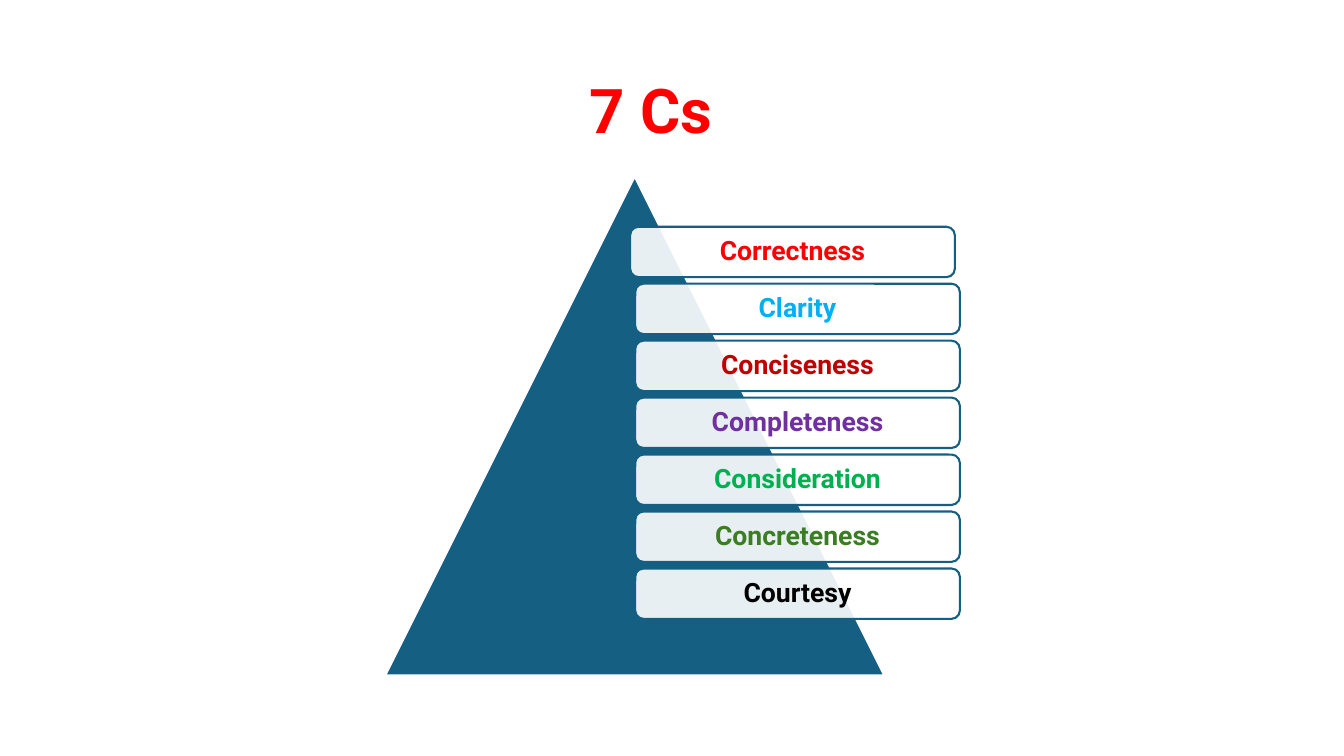
from dataclasses import dataclass

from lxml import etree
from pptx import Presentation, util as u
from pptx.dml.color import RGBColor
from pptx.enum import shapes, text
from pptx.oxml.ns import qn

TITLE = "7 Cs"
PRINCIPLES = [
    ("Correctness", "FF0000"),
    ("Clarity", "00B0F0"),
    ("Conciseness", "C00000"),
    ("Completeness", "7030A0"),
    ("Consideration", "00B050"),
    ("Concreteness", "3B7D23"),
    ("Courtesy", "000000"),
]


@dataclass(frozen=True)
class Theme:
    font: str = "Roboto"
    title_size: int = 44
    label_size: int = 19
    line_width: float = 1.5
    title: str = "FF0000"
    pyramid: str = "156082"
    paper: str = "FFFFFF"
    label_opacity: int = 90


THEME = Theme()
SLIDE_W, SLIDE_H = 13.33, 7.5
TITLE_AREA = (0.5, 0.4, 11.92, 1.45)
PYRAMID_AREA = (3.82, 1.75, 4.95, 4.95)
LABEL_LEFT, LABEL_TOP = 6.3, 2.25
LABEL_W, LABEL_H = 3.22, 0.5
ROW_PITCH = 0.565
FIRST_LABEL_SHIFT = -0.05
LABEL_INSET = 0.1


def write(box, words, *, size, color, inset):
    frame = box.text_frame
    frame.word_wrap = True
    frame.auto_size = text.MSO_AUTO_SIZE.NONE
    frame.vertical_anchor = text.MSO_ANCHOR.MIDDLE
    frame.margin_left = frame.margin_right = u.Inches(inset)
    frame.margin_top = frame.margin_bottom = u.Inches(inset / 2)
    para = frame.paragraphs[0]
    para.alignment = text.PP_ALIGN.CENTER
    para.line_spacing = 0.9
    span = para.add_run()
    span.text = words
    span.font.name = THEME.font
    span.font.size = u.Pt(size)
    span.font.bold = True
    span.font.color.rgb = RGBColor.from_string(color)


def add_box(page, kind, area, *, fill, line, opacity=100):
    box = page.shapes.add_shape(kind, *map(u.Inches, area))
    box.shadow.inherit = False
    box.fill.solid()
    box.fill.fore_color.rgb = RGBColor.from_string(fill)
    box.line.color.rgb = RGBColor.from_string(line)
    box.line.width = u.Pt(THEME.line_width)
    if opacity < 100:
        color = box.fill._xPr.find(qn("a:solidFill"))[0]
        etree.SubElement(color, qn("a:alpha"), val=str(opacity * 1000))
    return box


def main():
    deck = Presentation()
    deck.slide_width, deck.slide_height = u.Inches(SLIDE_W), u.Inches(SLIDE_H)
    page = deck.slides.add_slide(deck.slide_layouts.get_by_name("Title Only"))

    title = page.shapes.title
    title.left, title.top, title.width, title.height = map(u.Inches, TITLE_AREA)
    write(title, TITLE, size=THEME.title_size, color=THEME.title, inset=0.1)

    add_box(page, shapes.MSO_SHAPE.ISOSCELES_TRIANGLE, PYRAMID_AREA,
            fill=THEME.pyramid, line=THEME.paper)

    for row, (principle, color) in enumerate(PRINCIPLES):
        left = LABEL_LEFT + (FIRST_LABEL_SHIFT if row == 0 else 0)
        area = (left, LABEL_TOP + row * ROW_PITCH, LABEL_W, LABEL_H)
        label = add_box(page, shapes.MSO_SHAPE.ROUNDED_RECTANGLE, area,
                        fill=THEME.paper, line=THEME.pyramid,
                        opacity=THEME.label_opacity)
        write(label, principle, size=THEME.label_size, color=color,
              inset=LABEL_INSET)

    deck.save("out.pptx")


if __name__ == "__main__":
    main()
